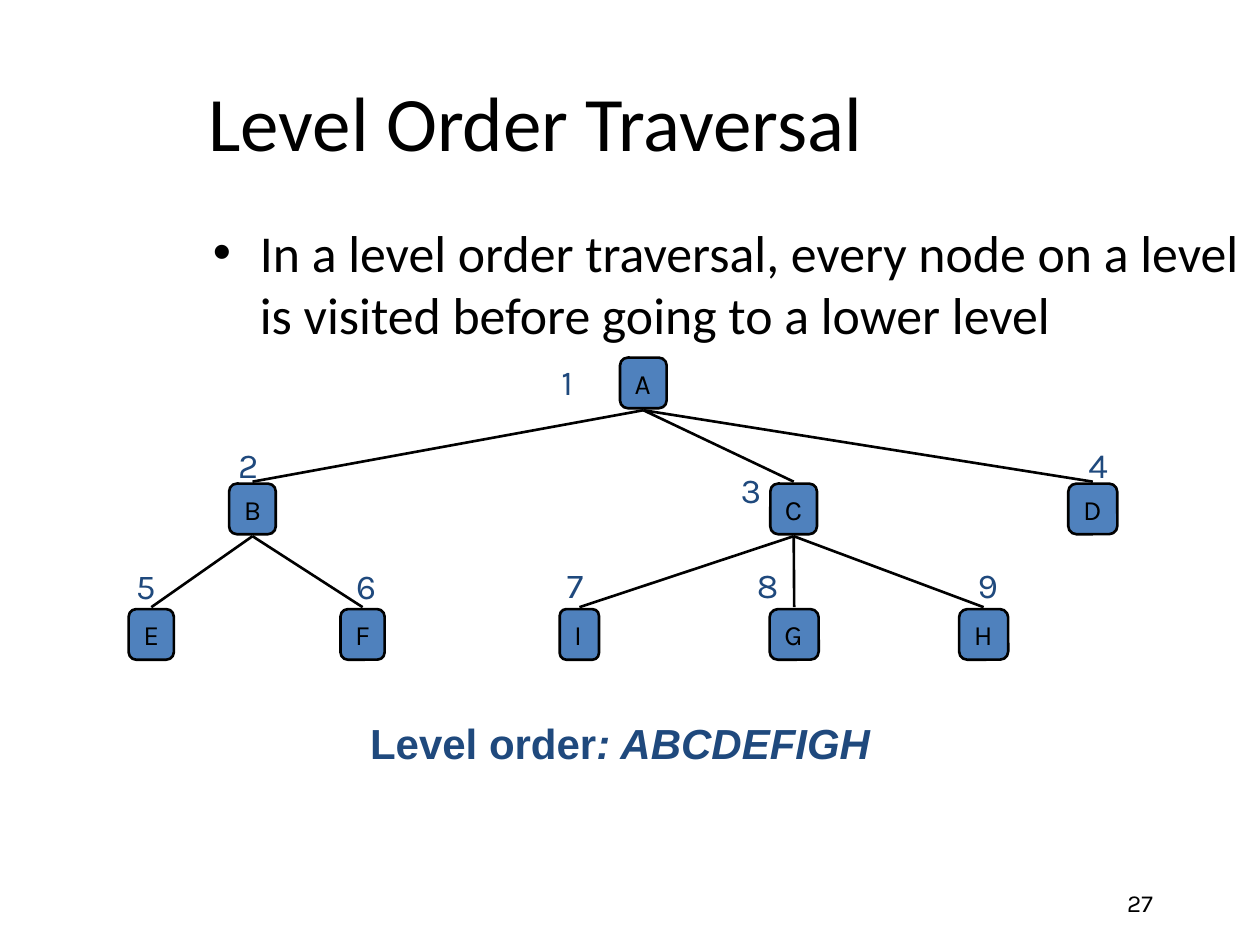
from collections import namedtuple
from dataclasses import dataclass

from lxml import etree
from pptx import Presentation
from pptx import util as u
from pptx.dml.color import RGBColor
from pptx.enum import shapes, text
from pptx.oxml.ns import qn


@dataclass(frozen=True)
class Theme:
    black: RGBColor = RGBColor(0x00, 0x00, 0x00)
    navy: RGBColor = RGBColor(0x1F, 0x49, 0x7D)
    node: RGBColor = RGBColor(0x4F, 0x81, 0xBD)
    heading: str = "Calibri"
    diagram: str = "Karla"
    answer: str = "Arial"
    title_size: float = 44
    body_size: float = 29.6
    answer_size: float = 24
    order_size: float = 20
    node_size: float = 16
    number_size: float = 14
    stroke: float = 1.5


# Lengths in cm; centre is horizontal, mark is the left and top of the visit number.
Node = namedtuple("Node", "name parent level centre width mark")

LEVEL_TOPS = (7.21, 9.75, 12.28)
NODE_HEIGHT = 1.02
EDGE_GAP = 0.04

# Listed in level order, so the position gives the visit number.
TREE = (
    Node("A", None, 0, 12.97, 0.94, (11.07, 7.14)),
    Node("B", "A", 1, 5.09, 0.94, (4.55, 8.81)),
    Node("C", "A", 1, 16, 0.94, (14.68, 9.32)),
    Node("D", "A", 1, 22.03, 0.99, (21.69, 8.81)),
    Node("E", "B", 2, 3.05, 0.91, (2.49, 11.25)),
    Node("F", "B", 2, 7.31, 0.89, (6.93, 11.25)),
    Node("I", "C", 2, 11.68, 0.79, (11.18, 11.23)),
    Node("G", "C", 2, 16.01, 0.99, (15.01, 11.23)),
    Node("H", "C", 2, 19.83, 0.99, (19.46, 11.23)),
)


class SlideBuilder:
    def __init__(self, slide, theme):
        self.slide = slide
        self.theme = theme

    def add_words(self, paragraph, words, **formats):
        run = paragraph.add_run()
        run.text = words
        run.font.color.rgb = formats.pop("color", self.theme.black)
        for name, value in formats.items():
            setattr(run.font, name, value)

    def text_box(self, left, top, width, height, **frame_formats):
        """Add an empty text box and return its first paragraph."""
        box = self.slide.shapes.add_textbox(*map(u.Cm, (left, top, width, height)))
        for name, value in ({"word_wrap": True} | frame_formats).items():
            setattr(box.text_frame, name, value)
        return box.text_frame.paragraphs[0]

    def bullet(self, paragraph, indent):
        properties = paragraph._p.get_or_add_pPr()
        properties.set("marL", str(u.Cm(indent)))
        properties.set("indent", str(-u.Cm(indent)))
        etree.SubElement(properties, qn("a:buFont")).set("typeface", "Arial")
        etree.SubElement(properties, qn("a:buChar")).set("char", "•")

    def node(self, node):
        theme = self.theme
        box = self.slide.shapes.add_shape(
            shapes.MSO_SHAPE.ROUNDED_RECTANGLE,
            u.Cm(node.centre - node.width / 2), u.Cm(LEVEL_TOPS[node.level]),
            u.Cm(node.width), u.Cm(NODE_HEIGHT))
        box.shadow.inherit = False
        box.fill.solid()
        box.fill.fore_color.rgb = theme.node
        box.line.color.rgb = theme.black
        box.line.width = u.Pt(theme.stroke)
        frame = box.text_frame
        frame.word_wrap = False
        frame.vertical_anchor = text.MSO_ANCHOR.MIDDLE
        letter = frame.paragraphs[0]
        letter.alignment = text.PP_ALIGN.LEFT
        self.add_words(letter, node.name,
                       name=theme.diagram, size=u.Pt(theme.node_size))

    def edge(self, parent, child):
        start = LEVEL_TOPS[parent.level] + NODE_HEIGHT + EDGE_GAP
        end = LEVEL_TOPS[child.level] - EDGE_GAP
        line = self.slide.shapes.add_connector(
            shapes.MSO_CONNECTOR.STRAIGHT,
            *map(u.Cm, (parent.centre, start, child.centre, end)))
        line.line.color.rgb = self.theme.black
        line.line.width = u.Pt(self.theme.stroke)
        etree.SubElement(line._element.spPr, qn("a:effectLst"))

    def visit_number(self, number, mark):
        paragraph = self.text_box(*mark, 0.89, 1.09, word_wrap=False)
        self.add_words(paragraph, str(number), name=self.theme.diagram,
                       size=u.Pt(self.theme.order_size), color=self.theme.navy)


def main():
    theme = Theme()
    deck = Presentation()
    deck.slide_width, deck.slide_height = u.Cm(25.4), u.Cm(19.05)
    builder = SlideBuilder(deck.slides.add_slide(deck.slide_layouts[6]), theme)

    page = builder.text_box(18.21, 17.35, 5.28, 1.27,
                            vertical_anchor=text.MSO_ANCHOR.BOTTOM)
    page.alignment = text.PP_ALIGN.RIGHT
    builder.add_words(page, "27", name=theme.diagram, size=u.Pt(theme.number_size))

    title = builder.text_box(0, 0.84, 21.59, 3.18,
                             vertical_anchor=text.MSO_ANCHOR.MIDDLE)
    title.alignment = text.PP_ALIGN.CENTER
    builder.add_words(title, "Level Order Traversal",
                      name=theme.heading, size=u.Pt(theme.title_size))

    definition = builder.text_box(4.04, 4.32, 21.36, 2.59)
    builder.bullet(definition, 0.95)
    builder.add_words(definition,
                      "In a level order traversal, every node on a level "
                      "is visited before going to a lower level",
                      name=theme.heading, size=u.Pt(theme.body_size))

    nodes = {node.name: node for node in TREE}
    for node in TREE:
        builder.node(node)
    for node in TREE:
        if node.parent:
            builder.edge(nodes[node.parent], node)

    answer = builder.text_box(7.21, 14.33, 11.28, 1.27)
    answer_formats = {"name": theme.answer, "size": u.Pt(theme.answer_size),
                      "bold": True, "color": theme.navy}
    builder.add_words(answer, "Level order", **answer_formats)
    builder.add_words(answer, ": " + "".join(nodes), italic=True, **answer_formats)

    for number, node in enumerate(TREE, start=1):
        builder.visit_number(number, node.mark)

    deck.save("out.pptx")


if __name__ == "__main__":
    main()
